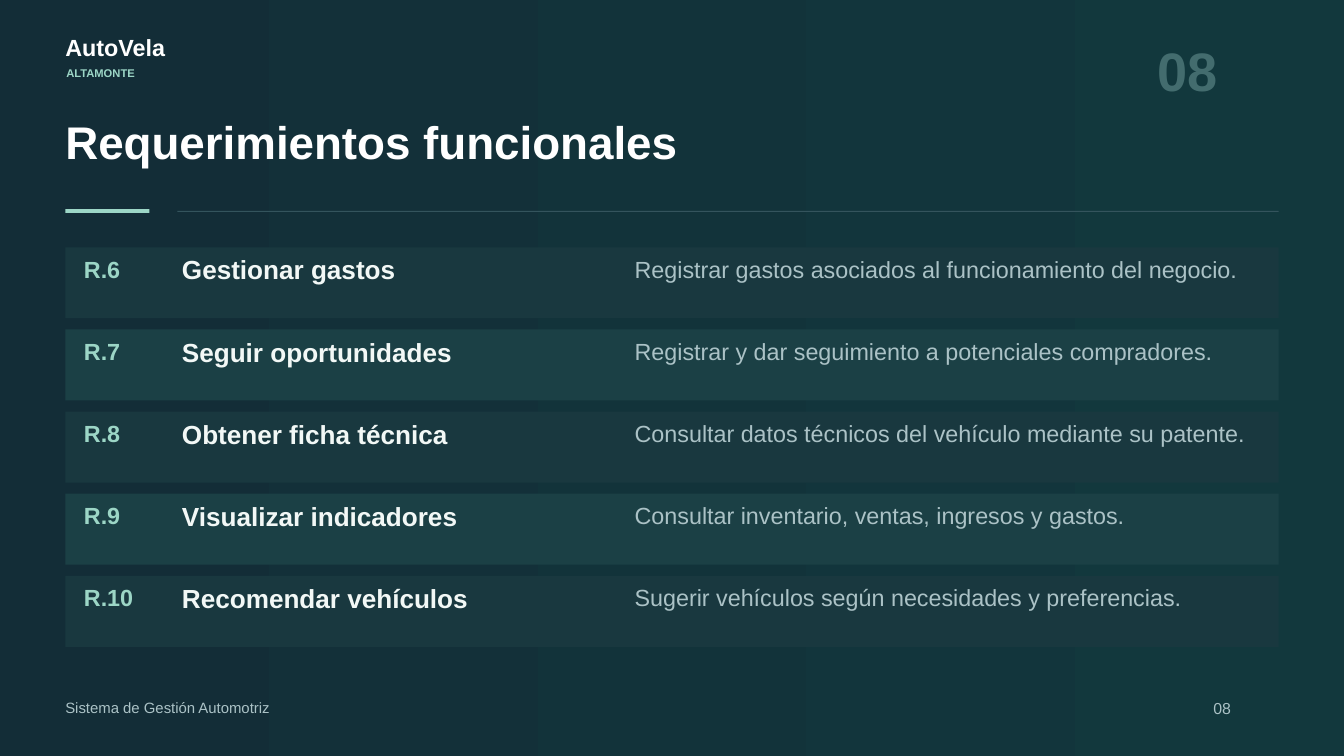
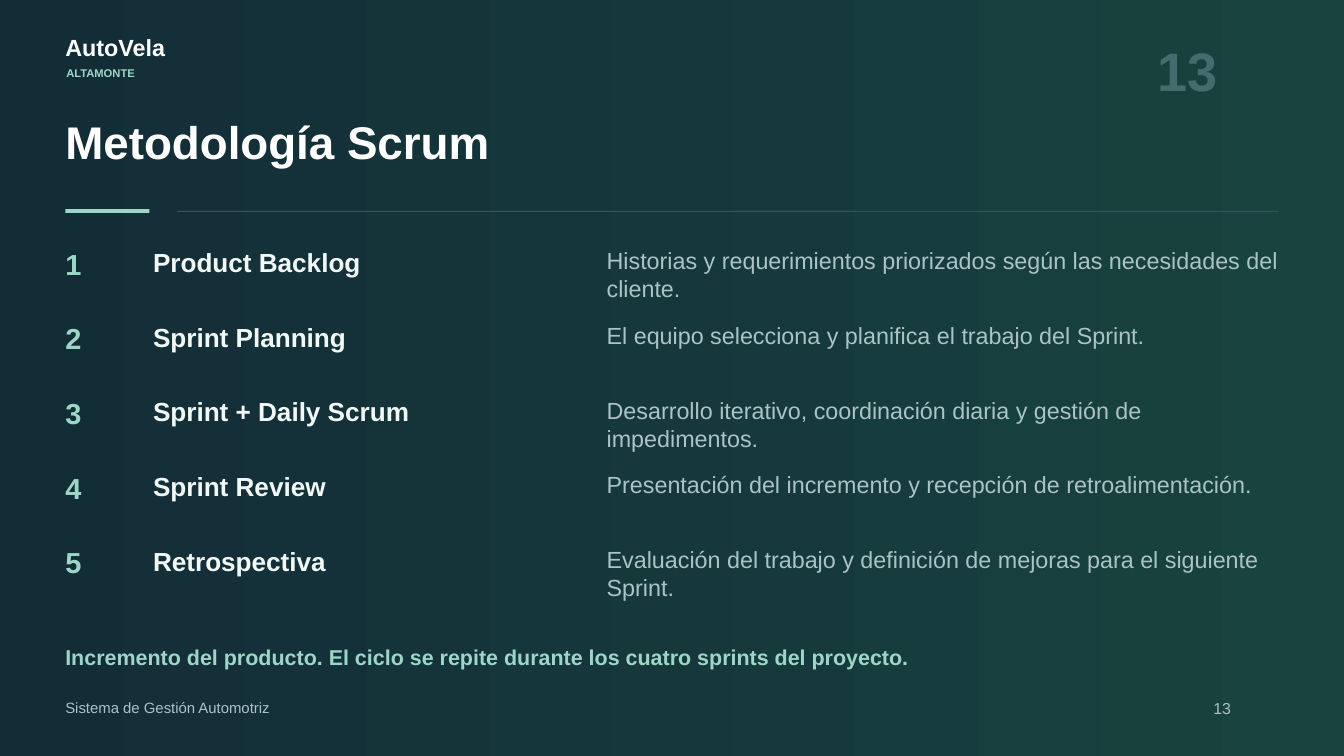
"""Builds the requirements and Scrum slides of the vehicle management deck."""
from pptx import Presentation
from pptx.dml.color import RGBColor
from pptx.enum.shapes import MSO_SHAPE
from pptx.enum.text import MSO_ANCHOR, MSO_AUTO_SIZE, PP_ALIGN
from pptx.util import Pt

PX = 12700
WIDE, HIGH = 1440, 810
LEFT, SPAN = 70, 1300
FONT = "Arial"
LEAD = 1.2
WHITE = RGBColor(0xFF, 0xFF, 0xFF)
SNOW = RGBColor(0xF2, 0xF8, 0xF6)
MINT = RGBColor(0x9C, 0xD6, 0xC6)
MIST = RGBColor(0xAB, 0xC2, 0xC6)
GHOST = RGBColor(0x43, 0x6C, 0x6E)
RULE = RGBColor(0x34, 0x54, 0x5D)
NIGHT = RGBColor(0x13, 0x2D, 0x37)
TEAL = RGBColor(0x12, 0x38, 0x3D)
GREEN = RGBColor(0x18, 0x43, 0x3F)
BANDS = (RGBColor(0x19, 0x38, 0x3F), RGBColor(0x1B, 0x40, 0x45))

NEEDS = (
    ("R.6", "Gestionar gastos",
     "Registrar gastos asociados al funcionamiento del negocio."),
    ("R.7", "Seguir oportunidades",
     "Registrar y dar seguimiento a potenciales compradores."),
    ("R.8", "Obtener ficha técnica",
     "Consultar datos técnicos del vehículo mediante su patente."),
    ("R.9", "Visualizar indicadores",
     "Consultar inventario, ventas, ingresos y gastos."),
    ("R.10", "Recomendar vehículos",
     "Sugerir vehículos según necesidades y preferencias."),
)
STEPS = (
    ("Product Backlog",
     "Historias y requerimientos priorizados según las necesidades del cliente."),
    ("Sprint Planning",
     "El equipo selecciona y planifica el trabajo del Sprint."),
    ("Sprint + Daily Scrum",
     "Desarrollo iterativo, coordinación diaria y gestión de impedimentos."),
    ("Sprint Review",
     "Presentación del incremento y recepción de retroalimentación."),
    ("Retrospectiva",
     "Evaluación del trabajo y definición de mejoras para el siguiente Sprint."),
)


class Deck:
    def __init__(self):
        self.file = Presentation()
        self.file.slide_width = WIDE * PX
        self.file.slide_height = HIGH * PX
        self.slide = None

    def page(self, title, num, end):
        self.slide = self.file.slides.add_slide(self.file.slide_layouts[5])
        fill = self.slide.background.fill
        fill.gradient()
        fill.gradient_angle = 0
        for stop, color, place in zip(fill.gradient_stops, (NIGHT, end), (0, 1)):
            stop.color.rgb = color
            stop.position = place
        self.text(LEFT, 35, 240, 35, "AutoVela", 25, WHITE, True)
        self.text(71, 71, 250, 24, "ALTAMONTE", 12, MINT, True)
        self.text(1240, 40, 130, 76, num, 58, GHOST, True)
        self.title(title)
        self.band(LEFT, 224, 90, 4, MINT)
        self.band(190, 226, 1180, 1, RULE)
        self.text(1300, 749, 70, 30, num, 17, MIST)
        self.text(LEFT, 749, 600, 30, "Sistema de Gestión Automotriz", 16, MIST)

    def title(self, words):
        head = self.slide.shapes.title
        head.left, head.top, head.width, head.height = (
            n * PX for n in (LEFT, 122, SPAN, 102))
        self.style(head.text_frame, words, 49, WHITE, True)

    def text(self, x, y, w, h, words, size, color, bold=False):
        box = self.slide.shapes.add_textbox(*(n * PX for n in (x, y, w, h)))
        self.style(box.text_frame, words, size, color, bold)

    def style(self, frame, words, size, color, bold):
        frame.text = words
        frame.word_wrap = True
        frame.auto_size = MSO_AUTO_SIZE.SHAPE_TO_FIT_TEXT
        frame.vertical_anchor = MSO_ANCHOR.TOP
        frame.margin_left = frame.margin_right = 0
        frame.margin_top = frame.margin_bottom = 0
        para = frame.paragraphs[0]
        para.alignment = PP_ALIGN.LEFT
        para.line_spacing = Pt(size * LEAD)
        font = para.font
        font.name, font.size, font.bold = FONT, Pt(size), bold
        font.color.rgb = color

    def band(self, x, y, w, h, color):
        bar = self.slide.shapes.add_shape(
            MSO_SHAPE.RECTANGLE, *(n * PX for n in (x, y, w, h)))
        bar.shadow.inherit = False
        bar.fill.solid()
        bar.fill.fore_color.rgb = color
        bar.line.fill.background()

    def needs(self):
        for i, (code, name, note) in enumerate(NEEDS):
            y = 265 + 88 * i
            self.band(LEFT, y, SPAN, 76, BANDS[i % 2])
            self.text(90, y + 8, 88, 42, code, 25, MINT, True)
            self.text(195, y + 7, 440, 43, name, 28, SNOW, True)
            self.text(680, y + 8, 665, 66, note, 25, MIST)

    def steps(self):
        for i, (name, note) in enumerate(STEPS):
            y = 264 + 80 * i
            self.text(LEFT, y, 70, 42, str(i + 1), 31, MINT, True)
            self.text(164, y, 440, 47, name, 28, SNOW, True)
            self.text(650, y, 720, 55, note, 25, MIST)
        self.text(LEFT, 690, 1280, 40,
                  "Incremento del producto. El ciclo se repite durante los "
                  "cuatro sprints del proyecto.", 23, MINT, True)


def main():
    deck = Deck()
    deck.page("Requerimientos funcionales", "08", TEAL)
    deck.needs()
    deck.page("Metodología Scrum", "13", GREEN)
    deck.steps()
    deck.file.save("out.pptx")


if __name__ == "__main__":
    main()
